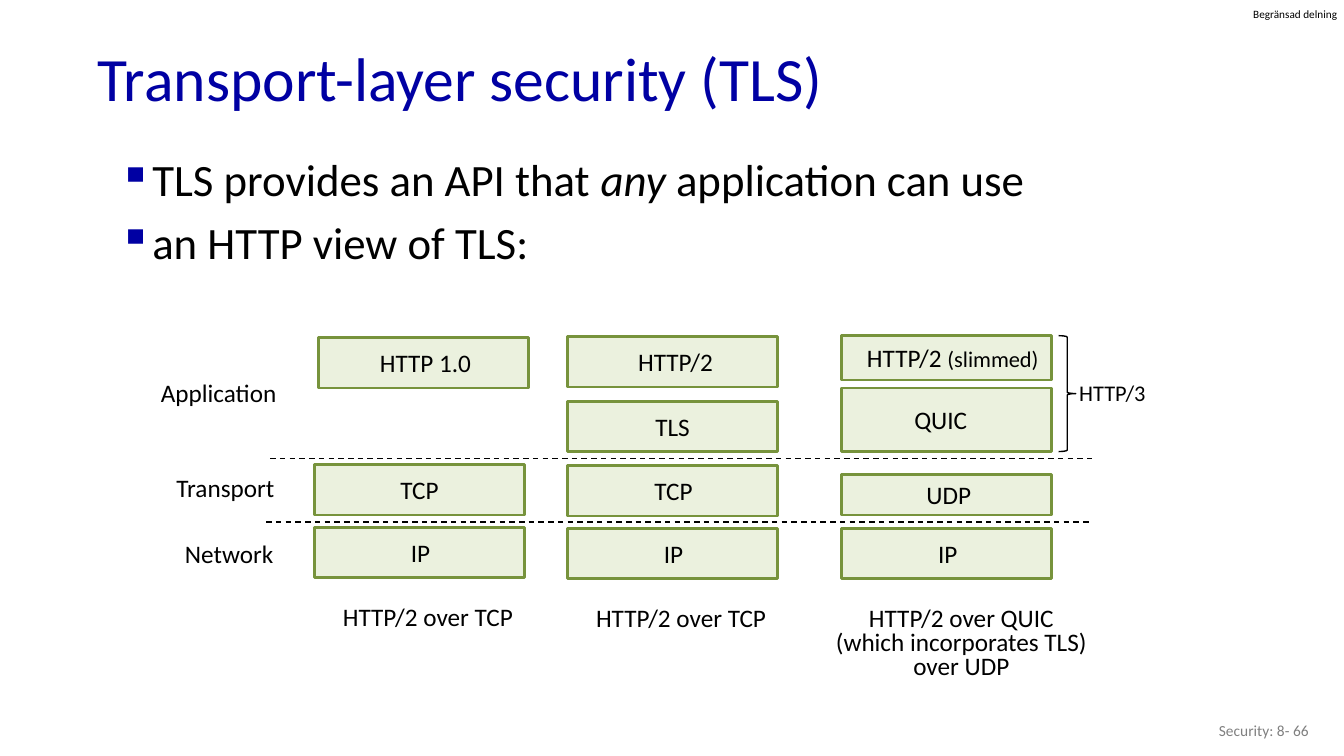
"""Build the slide that shows where TLS sits in three HTTP protocol stacks."""
from dataclasses import dataclass

from lxml.etree import SubElement
from pptx import Presentation
from pptx.dml.color import RGBColor
from pptx.enum.dml import MSO_LINE
from pptx.enum.shapes import MSO_CONNECTOR, MSO_SHAPE
from pptx.enum.text import MSO_ANCHOR, MSO_AUTO_SIZE, PP_ALIGN
from pptx.oxml.ns import qn
from pptx.util import Pt

PX = 9144
FONT = "Calibri"
COLORS = {
    "title": "0000A3",
    "text": "000000",
    "footer": "808080",
    "fill": "EBF1DE",
    "border": "77933C",
}
BLOCK_W = 208
TCP_X, TLS_X, QUIC_X = 312, 563, 835


@dataclass
class Block:
    """A protocol box; shift moves its text sideways from the centre."""
    text: str
    x: int
    y: int
    h: int = 50
    shift: int = 0
    note: str = ""


@dataclass
class Label:
    """A free-standing text."""
    text: str
    x: int
    y: int
    w: int
    h: int = 40
    size: int = 18
    align: PP_ALIGN = PP_ALIGN.RIGHT
    color: str = "text"
    anchor: MSO_ANCHOR = MSO_ANCHOR.TOP
    wrap: bool = True
    inset: int = 10
    spacing: float = 1.0


@dataclass
class Divider:
    """A dashed line between two layers."""
    x1: int
    x2: int
    y: int


BLOCKS = [
    Block("HTTP 1.0", 316, 335, shift=2),
    Block("TCP", TCP_X, 461),
    Block("IP", TCP_X, 523, shift=1),
    Block("HTTP/2", TLS_X, 334, shift=3),
    Block("TLS", TLS_X, 398),
    Block("TCP", TLS_X, 462, shift=1),
    Block("IP", TLS_X, 524, shift=1),
    Block("HTTP/2 ", QUIC_X, 333, h=44, shift=6, note="(slimmed)"),
    Block("QUIC", QUIC_X, 385, h=63, shift=-6),
    Block("UDP", QUIC_X, 471, h=40, shift=2),
    Block("IP", QUIC_X, 524, shift=1),
]
DIVIDERS = [Divider(268, 1083, 455), Divider(264, 1081, 518)]
LABELS = [
    Label("Begränsad delning", 1243, 7, 86, 13, 8, PP_ALIGN.LEFT, wrap=False, inset=0),
    Label("Security: 8- 66", 1008, 705, 300, 40, 11, color="footer",
          anchor=MSO_ANCHOR.MIDDLE),
    Label("Application", 133, 369, 151),
    Label("Transport", 148, 464, 134),
    Label("Network", 147, 529, 134),
    Label("HTTP/3", 1048, 371, 98, 37, 16),
    Label("HTTP/2 over TCP", 328, 592, 193, align=PP_ALIGN.CENTER, wrap=False),
    Label("HTTP/2 over TCP", 579, 593, 193, align=PP_ALIGN.CENTER, wrap=False),
    Label("HTTP/2 over QUIC\n(which incorporates TLS)\nover UDP", 817, 598, 273, 83,
          align=PP_ALIGN.CENTER, wrap=False, spacing=0.8),
]
BULLETS = [
    [("TLS provides an API that ", False), ("any", True), (" application can use", False)],
    [("an HTTP view of TLS:", False)],
]


def box(x: int, y: int, w: int, h: int) -> tuple[int, ...]:
    """Turn px lengths into EMU."""
    return tuple(v * PX for v in (x, y, w, h))


def rgb(name: str) -> RGBColor:
    """Look up a colour by name."""
    return RGBColor.from_string(COLORS[name])


def format_run(r, size: int, color: str = "text") -> None:
    """Give a run its font, size and colour."""
    r.font.name = FONT
    r.font.size = Pt(size)
    r.font.color.rgb = rgb(color)


def add_title(s, text: str) -> None:
    """Place and format the title placeholder."""
    title = s.shapes.title
    title.left, title.top, title.width, title.height = box(87, 32, 1150, 98)
    tf = title.text_frame
    tf.text = text
    tf.auto_size = MSO_AUTO_SIZE.NONE
    tf.vertical_anchor = MSO_ANCHOR.MIDDLE
    p = tf.paragraphs[0]
    p.alignment = PP_ALIGN.LEFT
    p.line_spacing = 0.9
    format_run(p.runs[0], 44, "title")


def add_bullets(s) -> None:
    """Draw the bulleted text above the stacks."""
    tf = s.shapes.add_textbox(*box(108, 152, 1190, 178)).text_frame
    tf.word_wrap = True
    for i, parts in enumerate(BULLETS):
        p = tf.add_paragraph() if i else tf.paragraphs[0]
        p.line_spacing = 0.9
        p.space_before = Pt(10)
        pPr = p._p.get_or_add_pPr()
        pPr.set("marL", str(31 * PX))
        pPr.set("indent", str(-31 * PX))
        buClr = SubElement(pPr, qn("a:buClr"))
        SubElement(buClr, qn("a:srgbClr"), val=COLORS["title"])
        SubElement(pPr, qn("a:buChar"), char="▪")
        for text, italic in parts:
            r = p.add_run()
            r.text = text
            format_run(r, 32)
            r.font.italic = italic


def add_block(s, block: Block) -> None:
    """Draw a protocol box with its name."""
    sp = s.shapes.add_shape(MSO_SHAPE.RECTANGLE, *box(block.x, block.y, BLOCK_W, block.h))
    sp.shadow.inherit = False
    sp.fill.solid()
    sp.fill.fore_color.rgb = rgb("fill")
    sp.line.color.rgb = rgb("border")
    sp.line.width = Pt(2)
    tf = sp.text_frame
    tf.margin_left = max(block.shift, 0) * 2 * PX
    tf.margin_right = max(-block.shift, 0) * 2 * PX
    tf.margin_top = tf.margin_bottom = 0
    tf.vertical_anchor = MSO_ANCHOR.MIDDLE
    tf.text = block.text
    p = tf.paragraphs[0]
    p.alignment = PP_ALIGN.CENTER
    format_run(p.runs[0], 18)
    if block.note:
        r = p.add_run()
        r.text = block.note
        format_run(r, 16)


def add_divider(s, divider: Divider) -> None:
    """Draw a dashed layer boundary."""
    line = s.shapes.add_connector(
        MSO_CONNECTOR.STRAIGHT, *box(divider.x1, divider.y, divider.x2, divider.y))
    line.line.color.rgb = rgb("text")
    line.line.width = Pt(1)
    line.line.dash_style = MSO_LINE.DASH
    SubElement(line._element.spPr, qn("a:effectLst"))


def add_brace(s) -> None:
    """Draw the brace that groups the HTTP/3 boxes."""
    sp = s.shapes.add_shape(MSO_SHAPE.RIGHT_BRACE, *box(1050, 333, 17, 115))
    sp.shadow.inherit = False
    sp.fill.background()
    sp.line.color.rgb = rgb("text")
    sp.line.width = Pt(1)


def add_label(s, label: Label) -> None:
    """Draw a free-standing text."""
    tf = s.shapes.add_textbox(*box(label.x, label.y, label.w, label.h)).text_frame
    tf.word_wrap = label.wrap
    tf.vertical_anchor = label.anchor
    tf.margin_left = tf.margin_right = label.inset * PX
    tf.margin_top = tf.margin_bottom = label.inset // 2 * PX
    tf.text = label.text
    for p in tf.paragraphs:
        p.alignment = label.align
        p.line_spacing = label.spacing
        format_run(p.runs[0], label.size, label.color)


def main() -> None:
    """Build and save the slide."""
    prs = Presentation()
    prs.slide_width, prs.slide_height = 1333 * PX, 750 * PX
    s = prs.slides.add_slide(prs.slide_layouts[5])
    add_title(s, "Transport-layer security (TLS)")
    for block in BLOCKS:
        add_block(s, block)
    for divider in DIVIDERS:
        add_divider(s, divider)
    add_brace(s)
    for label in LABELS:
        add_label(s, label)
    add_bullets(s)
    prs.save("out.pptx")


if __name__ == "__main__":
    main()
